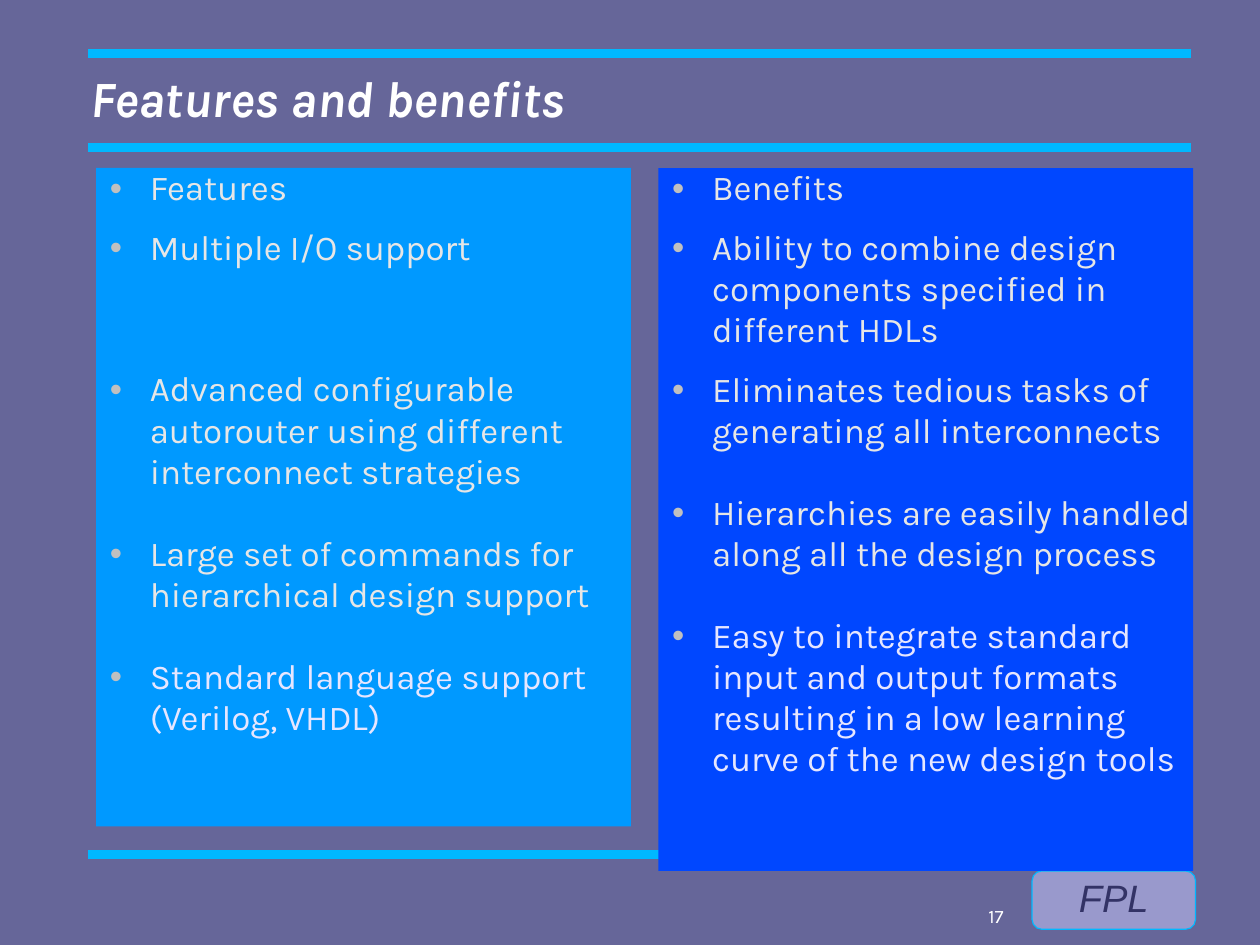
from lxml.etree import SubElement
from pptx import Presentation
from pptx.dml.color import RGBColor
from pptx.enum.shapes import MSO_CONNECTOR, MSO_SHAPE
from pptx.enum.text import MSO_ANCHOR, PP_ALIGN
from pptx.oxml.ns import qn
from pptx.util import Inches, Pt

FONT = "Karla"
CYAN = "00B8FF"
PALE = "E6E6E6"
LILAC = "E6E6FF"
CM_PER_INCH = 2.54

# Gaps before a paragraph, in points
SMALL_GAP = 11.7
LINE_GAP = 25.8
WIDE_GAP = 2 * LINE_GAP + SMALL_GAP

# Each item: text, gap before, colour
FEATURES = [
    ("Features", 0, PALE),
    ("Multiple I/O support", SMALL_GAP, PALE),
    ("Advanced configurable autorouter using different interconnect strategies",
     WIDE_GAP, PALE),
    ("Large set of commands for hierarchical design support", LINE_GAP, PALE),
    ("Standard language support (Verilog, VHDL)", LINE_GAP, LILAC),
]
BENEFITS = [
    ("Benefits", 0, PALE),
    ("Ability to combine design components specified in different HDLs",
     SMALL_GAP, PALE),
    ("Eliminates tedious tasks of generating all interconnects", SMALL_GAP, PALE),
    ("Hierarchies are easily handled along all the design process",
     LINE_GAP, PALE),
    ("Easy to integrate standard input and output formats resulting in a low "
     "learning curve of the new design tools", LINE_GAP, LILAC),
]


def rgb(color):
    return RGBColor.from_string(color)


def set_fill(sp, color):
    sp.fill.solid()
    sp.fill.fore_color.rgb = rgb(color)


def prepare_frame(sp, anchor=MSO_ANCHOR.TOP):
    """Wrap the text of a shape and remove its insets."""
    tf = sp.text_frame
    tf.word_wrap = True
    tf.vertical_anchor = anchor
    tf.margin_left = tf.margin_right = tf.margin_top = tf.margin_bottom = 0
    return tf


def write(p, text, size, color, font=FONT, bold=False, italic=False,
          align=PP_ALIGN.LEFT, spacing=0.98):
    p.text = text
    p.alignment = align
    p.line_spacing = spacing
    for r in p.runs:
        r.font.name = font
        r.font.size = Pt(size)
        r.font.bold = bold
        r.font.italic = italic
        r.font.color.rgb = rgb(color)


def add_bullet(p):
    pPr = p._p.get_or_add_pPr()
    pPr.set("marL", str(Inches(0.47)))
    pPr.set("indent", str(Inches(-0.35)))
    bullet_color = SubElement(pPr, qn("a:buClr"))
    SubElement(bullet_color, qn("a:srgbClr"), val="C0C0C0")
    SubElement(pPr, qn("a:buFont"), typeface="Arial")
    SubElement(pPr, qn("a:buChar"), char="•")


def add_rule(s, y):
    line = s.shapes.add_connector(MSO_CONNECTOR.STRAIGHT, Inches(0.77), Inches(y),
                                  Inches(10.42), Inches(y))
    line.line.color.rgb = rgb(CYAN)
    line.line.width = Pt(5.67)
    SubElement(line._element.spPr, qn("a:effectLst"))


def add_text(s, left, top, width, height, text, size, color,
             anchor=MSO_ANCHOR.TOP, **style):
    box = s.shapes.add_textbox(Inches(left), Inches(top), Inches(width), Inches(height))
    tf = prepare_frame(box, anchor)
    write(tf.paragraphs[0], text, size, color, **style)


def add_badge(s):
    sp = s.shapes.add_shape(MSO_SHAPE.ROUNDED_RECTANGLE, Inches(9.03), Inches(7.62),
                            Inches(1.43), Inches(0.51))
    sp.shadow.inherit = False
    set_fill(sp, "9999CC")
    sp.line.color.rgb = rgb(CYAN)
    sp.line.width = Pt(0.75)
    tf = prepare_frame(sp, MSO_ANCHOR.MIDDLE)
    write(tf.paragraphs[0], "FPL", 24, "333366", font="Arial", italic=True,
          align=PP_ALIGN.CENTER, spacing=0.93)


def add_panel(s, left, height, fill, items):
    box = s.shapes.add_textbox(Inches(left), Inches(1.47), Inches(4.68), Inches(height))
    set_fill(box, fill)
    tf = prepare_frame(box)
    for i, (text, gap, color) in enumerate(items):
        p = tf.add_paragraph() if i else tf.paragraphs[0]
        add_bullet(p)
        write(p, text, 22, color)
        if gap:
            p.space_before = Pt(gap)


def main():
    prs = Presentation()
    prs.slide_width = Inches(28 / CM_PER_INCH)
    prs.slide_height = Inches(21 / CM_PER_INCH)
    s = prs.slides.add_slide(prs.slide_layouts[6])
    set_fill(s.background, "666699")

    for y in (0.47, 7.48, 1.29):
        add_rule(s, y)
    add_badge(s)
    add_text(s, 0.79, 0.28, 9.41, 1.18, "Features and benefits", 32, "FFFFFF",
             anchor=MSO_ANCHOR.MIDDLE, bold=True, italic=True)
    add_panel(s, 0.84, 5.76, "0099FF", FEATURES)
    add_panel(s, 5.76, 6.15, "0047FF", BENEFITS)
    add_text(s, 7.9, 7.93, 0.88, 0.23, "17", 12, "FFFFFF",
             align=PP_ALIGN.RIGHT, spacing=0.95)
    prs.save("out.pptx")


if __name__ == "__main__":
    main()
